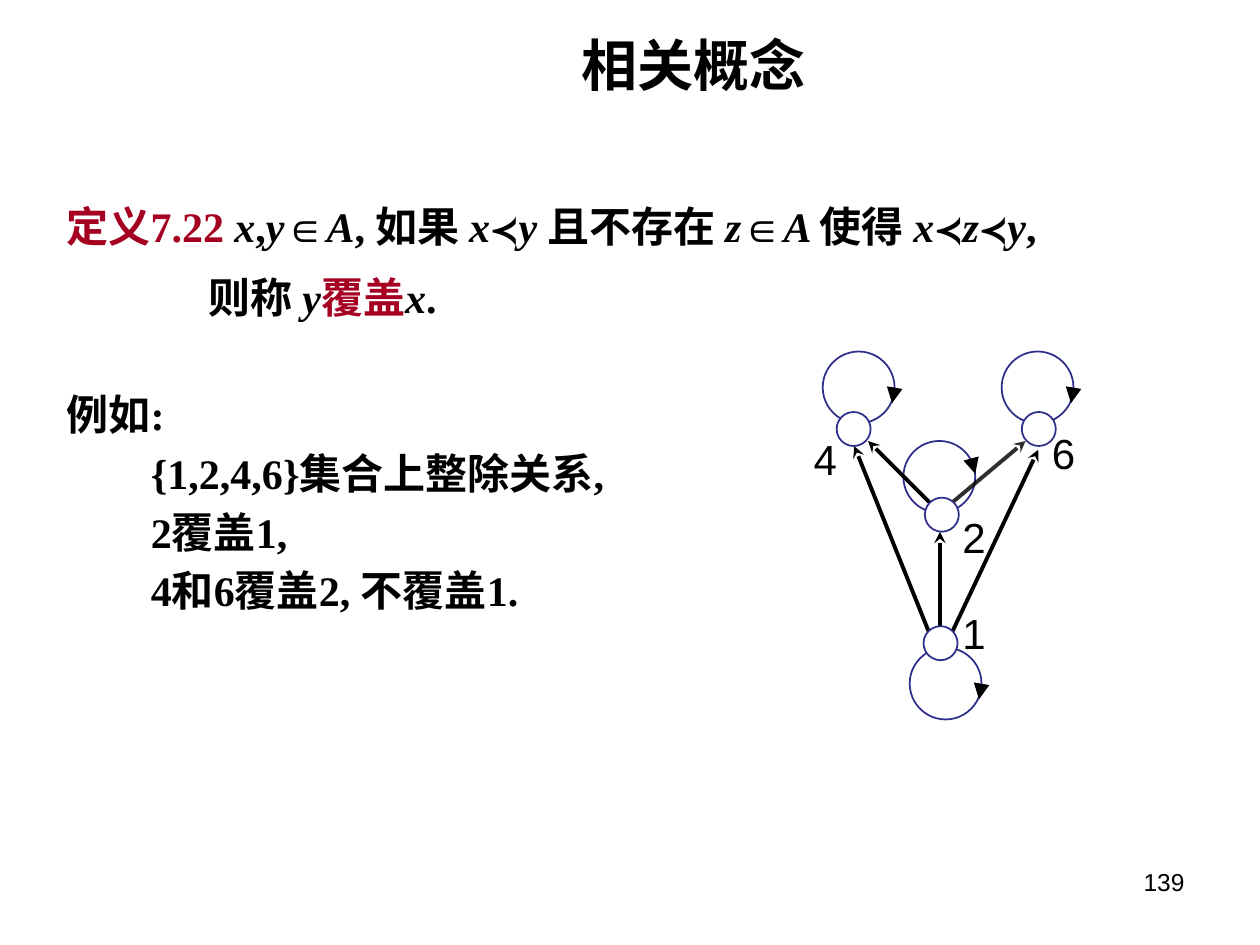
from lxml.etree import SubElement
from pptx import Presentation
from pptx.dml.color import RGBColor
from pptx.enum.shapes import MSO_CONNECTOR as LINE, MSO_SHAPE as SHAPE
from pptx.enum.text import MSO_ANCHOR as ANCHOR, PP_ALIGN as ALIGN
from pptx.oxml.ns import qn
from pptx.util import Inches, Pt

BLACK = RGBColor(0, 0, 0)
WHITE = RGBColor(255, 255, 255)
RED = RGBColor(0xA5, 0, 0x21)
BLUE = RGBColor(0x2D, 0x2D, 0x8A)
SERIF, SANS = "Times New Roman", "Arial"

STYLES = {
    "plain": {},
    "var": {"italic": True},
    "term": {"color": RED},
}
# Left indent (inches), space before (points), runs of (text, style)
BODY = [
    (0, 0, [("定义7.22 ", "term"), ("x", "var"), (",", "plain"), ("y", "var"),
            ("∈", "plain"), ("A", "var"), (", 如果 ", "plain"), ("x", "var"),
            ("≺", "plain"), ("y ", "var"), ("且不存在 ", "plain"), ("z", "var"),
            ("∈", "plain"), ("A ", "var"), ("使得 ", "plain"), ("x", "var"),
            ("≺", "plain"), ("z", "var"), ("≺", "plain"), ("y", "var"),
            (",", "plain")]),
    (1.13, 12, [("则称 ", "plain"), ("y", "var"), ("覆盖", "term"),
                ("x", "var"), (".", "plain")]),
    (0, 38, [("例如:", "plain")]),
    (0.67, 4.8, [("{1,2,4,6}集合上整除关系,", "plain")]),
    (0.67, 4.8, [("2覆盖1,", "plain")]),
    (0.67, 4.8, [("4和6覆盖2, 不覆盖1.", "plain")]),
]

NODE, LOOP = 0.27, 0.57
SIDE = ((0.57, 0.29), (0.55, 0.41))
HIGH = ((0.54, 0.15), (0.57, 0.26))
# Label: node corner, label corner, loop corner, arrow on the loop
NODES = {
    "2": ((7.34, 3.95), (7.54, 4.01), (7.17, 3.5), HIGH),
    "1": ((7.33, 4.97), (7.54, 4.77), (7.22, 5.14), SIDE),
    "6": ((8.11, 3.27), (8.25, 3.34), (7.95, 2.79), SIDE),
    "4": ((6.64, 3.27), (6.36, 3.39), (6.53, 2.79), SIDE),
}
# Upper end (with arrowhead), lower end, opacity in percent
EDGES = [
    ((7.46, 4.22), (7.46, 5.01), 100),
    ((6.89, 3.5), (7.46, 4.07), 100),
    ((8.14, 3.5), (7.46, 4.07), 82),
    ((6.78, 3.54), (7.37, 5.01), 100),
    ((8.24, 3.57), (7.56, 5.01), 100),
]

deck = Presentation()
deck.slide_width, deck.slide_height = Inches(10), Inches(7.5)
slide = deck.slides.add_slide(deck.slide_layouts[6])
shapes = slide.shapes


def add_run(para, text, color=BLACK, **format):
    run = para.add_run()
    run.text = text
    run.font.color.rgb = color
    for key, value in format.items():
        setattr(run.font, key, value)


def add_box(left, top, width, height, wrap=True):
    frame = shapes.add_textbox(*map(Inches, (left, top, width, height))).text_frame
    frame.word_wrap = wrap
    return frame


def add_label(box, text, size, name=SANS, bold=False, align=ALIGN.LEFT, wrap=True):
    frame = add_box(*box, wrap)
    para = frame.paragraphs[0]
    para.alignment = align
    add_run(para, text, size=Pt(size), name=name, bold=bold)
    return frame


def add_ring(corner, size, fill=None):
    ring = shapes.add_shape(SHAPE.OVAL, *map(Inches, (*corner, size, size)))
    ring.shadow.inherit = False
    ring.line.color.rgb = BLUE
    ring.line.width = Pt(1)
    if fill is None:
        ring.fill.background()
    else:
        ring.fill.solid()
        ring.fill.fore_color.rgb = fill


def add_arrow(start, end, width, tag, head, alpha=100):
    """Draw a line; tag is a:headEnd (at start) or a:tailEnd (at end)."""
    arrow = shapes.add_connector(LINE.STRAIGHT, *map(Inches, (*start, *end)))
    arrow.line.color.rgb = BLACK
    arrow.line.width = Pt(width)
    props = arrow.element.spPr
    line = props.find(qn("a:ln"))
    if alpha < 100:
        color = line.find(".//" + qn("a:srgbClr"))
        SubElement(color, qn("a:alpha"), val=str(alpha * 1000))
    SubElement(line, qn(tag), type=head)
    SubElement(props, qn("a:effectLst"))


add_label((7.17, 6.83, 2.33, 0.52), "139", 14, align=ALIGN.RIGHT)
title = add_label((2.16, 0.28, 6.69, 0.46), "相关概念", 32, SERIF, True, ALIGN.CENTER)
title.vertical_anchor = ANCHOR.MIDDLE

body = add_box(0.43, 1.54, 8.66, 4.41)
for i, (indent, before, runs) in enumerate(BODY):
    para = body.add_paragraph() if i else body.paragraphs[0]
    para.space_before = Pt(before)
    props = para._p.get_or_add_pPr()
    props.set("marL", str(Inches(indent)))
    props.set("indent", "0")
    for text, style in runs:
        add_run(para, text, size=Pt(24), name=SERIF, bold=True, **STYLES[style])

for _, _, (x, y), ends in NODES.values():
    add_ring((x, y), LOOP)
    start, end = [(x + dx, y + dy) for dx, dy in ends]
    add_arrow(start, end, 3, "a:tailEnd", "triangle")

for upper, lower, alpha in EDGES:
    add_arrow(upper, lower, 2.25, "a:headEnd", "stealth", alpha)

for label, (corner, spot, _, _) in NODES.items():
    add_label((*spot, 0.37, 0.5), label, 24, wrap=False)
    add_ring(corner, NODE, WHITE)

deck.save("out.pptx")
